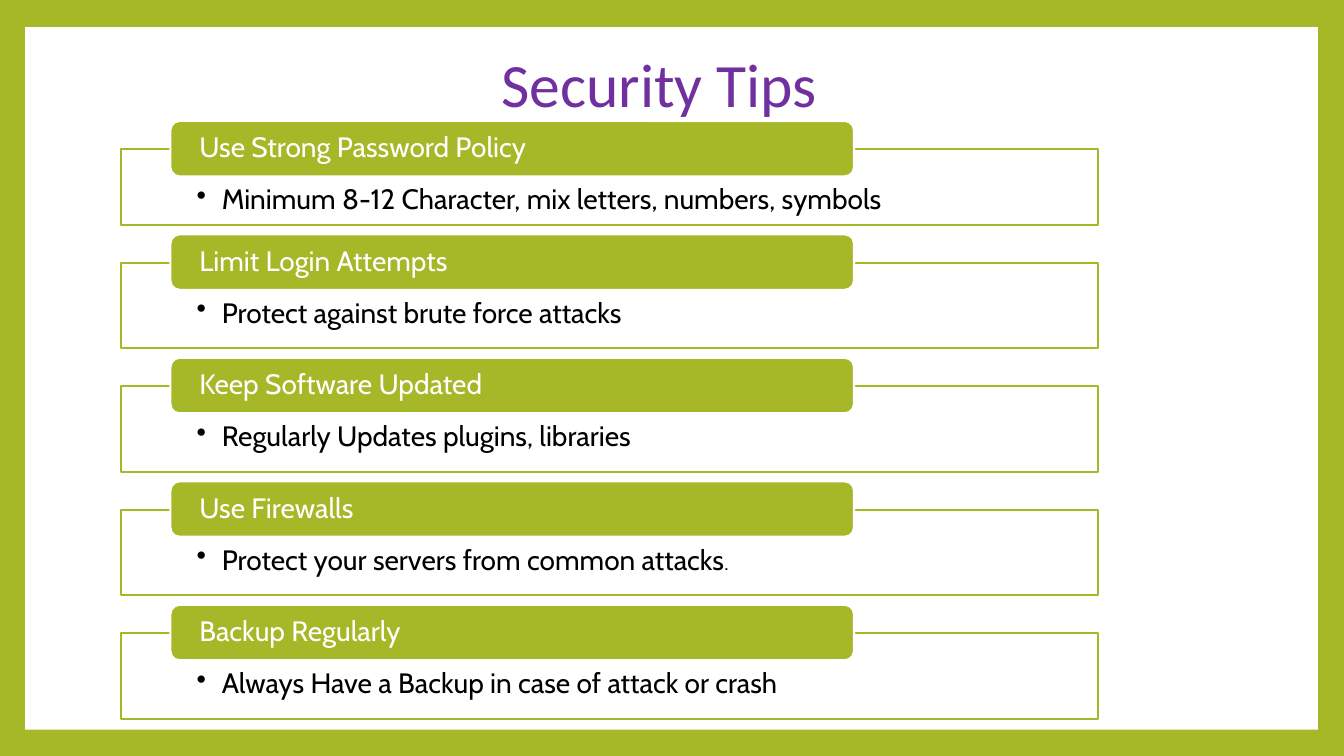
from lxml import etree
from pptx import Presentation
from pptx.dml.color import RGBColor
from pptx.enum.shapes import MSO_SHAPE as Shape
from pptx.enum.text import MSO_ANCHOR as Anchor, PP_ALIGN as Align
from pptx.oxml.ns import qn
from pptx.util import Inches, Pt

GREEN, WHITE, BLACK, PURPLE = "A6B727", "FFFFFF", "000000", "7030A0"
FIRST_TOP = 1.48
CARD_GAP = 3 / 8
LABEL_RISE = 0.28

# Label, tip as (text, size) spans, card height
TIPS = [
    ("Use Strong Password Policy",
     [("Minimum 8-12 Character, mix letters, numbers, symbols", 20)], 0.75),
    ("Limit Login Attempts",
     [("Protect against brute force attacks", 20)], 0.85),
    ("Keep Software Updated",
     [("Regularly Updates plugins, libraries", 20)], 0.85),
    ("Use Firewalls",
     [("Protect your servers from common attacks", 20), (".", 15)], 0.85),
    ("Backup Regularly",
     [("Always Have a Backup in case of attack or crash", 20)], 0.85),
]


def color(code):
    return RGBColor.from_string(code)


def add_box(page, kind, left, top, width, height, fill, line=None):
    box = page.shapes.add_shape(
        kind, Inches(left), Inches(top), Inches(width), Inches(height))
    box.shadow.inherit = False
    box.fill.solid()
    box.fill.fore_color.rgb = color(fill)
    if line:
        box.line.color.rgb = color(line)
        box.line.width = Pt(1.5)
    else:
        box.line.fill.background()
    return box


def write(box, spans, font, ink, align, anchor, insets):
    """Fill the box with one paragraph; insets are left, top, right, bottom."""
    frame = box.text_frame
    frame.word_wrap = True
    frame.vertical_anchor = anchor
    (frame.margin_left, frame.margin_top,
     frame.margin_right, frame.margin_bottom) = map(Inches, insets)
    para = frame.paragraphs[0]
    para.alignment = align
    para.line_spacing = 0.9
    para.font.name = font
    para.font.color.rgb = color(ink)
    para.font.size = Pt(spans[0][1])
    for text, size in spans:
        span = para.add_run()
        span.text = text
        if size != spans[0][1]:
            span.font.size = Pt(size)
    return para


def add_bullet(para):
    properties = para._p.get_or_add_pPr()
    properties.set("marL", str(Inches(0.25)))
    properties.set("indent", str(-Inches(0.25)))
    bullet = etree.Element(qn("a:buChar"), char="•")
    # The bullet belongs before the default run properties.
    properties.find(qn("a:defRPr")).addprevious(bullet)


def add_title(page, text):
    box = page.shapes.add_textbox(
        Inches(2.19), Inches(0.28), Inches(8.7), Inches(1.18))
    write(box, [(text, 44)], "Calibri", PURPLE, Align.CENTER, Anchor.MIDDLE,
          (0.1, 0.05, 0.1, 0.05))


def add_tip(page, label, spans, top, height):
    card = add_box(page, Shape.RECTANGLE, 1.2, top, 9.69, height, WHITE, GREEN)
    para = write(card, spans, "Cabin", BLACK, Align.LEFT, Anchor.TOP,
                 (0.75, 0.36, 0.75, 0.16))
    add_bullet(para)
    tab = add_box(page, Shape.ROUNDED_RECTANGLE, 1.69, top - LABEL_RISE,
                  6.78, 0.55, GREEN, WHITE)
    write(tab, [(label, 20)], "Cabin", WHITE, Align.LEFT, Anchor.MIDDLE,
          (0.26, 0, 0.26, 0))


def main():
    deck = Presentation()
    deck.slide_width, deck.slide_height = Inches(13.33), Inches(7.5)
    page = deck.slides.add_slide(deck.slide_layouts[6])
    page.background.fill.solid()
    page.background.fill.fore_color.rgb = color(GREEN)
    add_box(page, Shape.RECTANGLE, 0.25, 0.27, 12.82, 6.97, WHITE)
    add_title(page, "Security Tips")
    top = FIRST_TOP
    for label, spans, height in TIPS:
        add_tip(page, label, spans, top, height)
        top += height + CARD_GAP
    deck.save("out.pptx")


if __name__ == "__main__":
    main()
